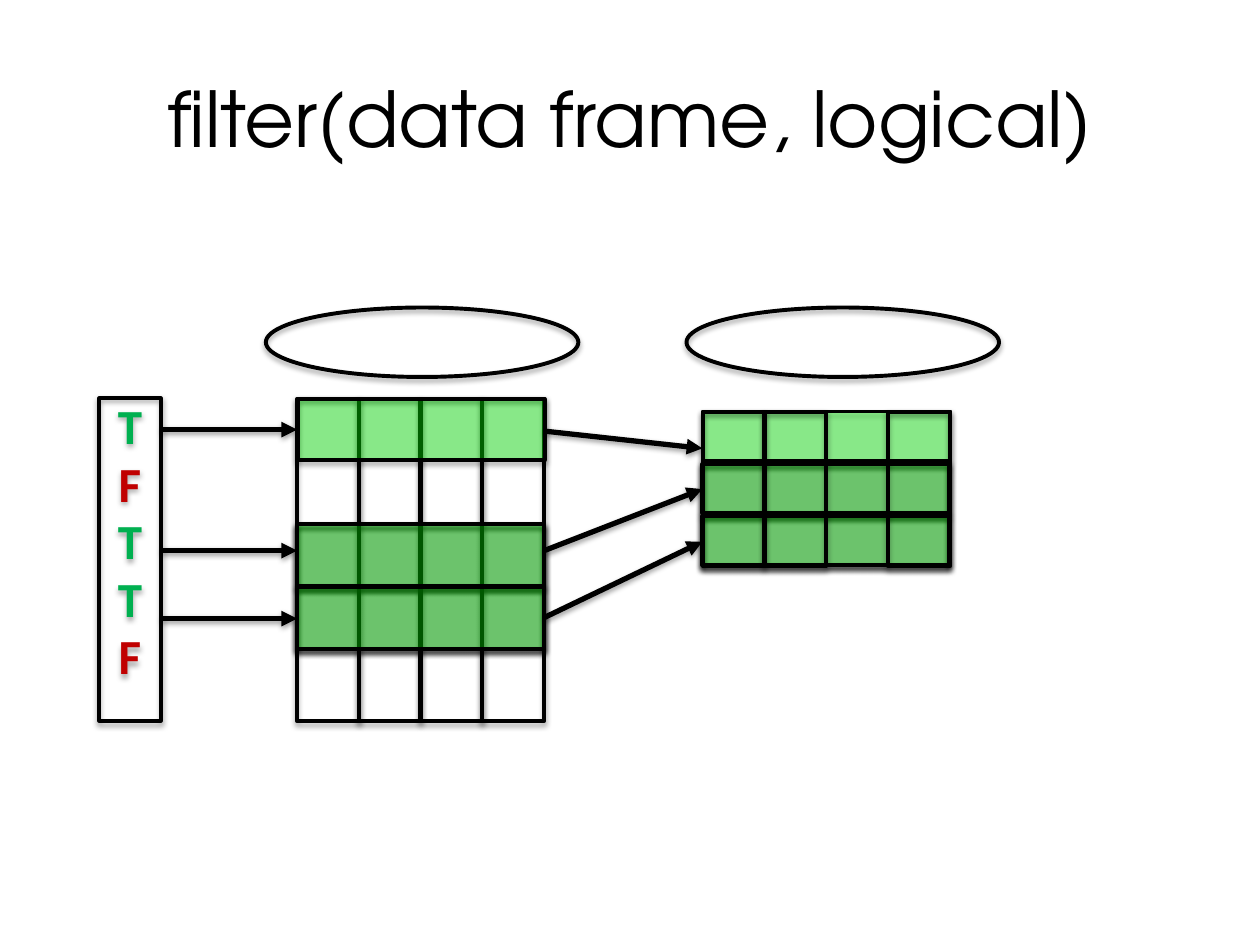
import pptx
import pptx.util
import pptx.dml.color
import pptx.enum.shapes
import pptx.enum.text
import pptx.oxml.ns
from dataclasses import dataclass
from lxml import etree
from pptx.util import Cm

SHAPE = pptx.enum.shapes.MSO_SHAPE
ANCHOR = pptx.enum.text.MSO_ANCHOR
ALIGN = pptx.enum.text.PP_ALIGN
qn = pptx.oxml.ns.qn


@dataclass(frozen=True)
class Theme:
    black: str = "000000"
    band: str = "00FA00"
    true: str = "00B050"
    false: str = "C00000"
    title_font: str = "TeX Gyre Adventor"
    flag_font: str = "Calibri"
    title_size: int = 44
    flag_size: int = 28
    outline: float = 2.25
    arrow: float = 3


THEME = Theme()
CELL = 1.24
PITCH = 1.245


def rgb(value):
    return pptx.dml.color.RGBColor.from_string(value)


def apply(target, values):
    for name, value in values.items():
        setattr(target, name, value)


def stroke(line, width):
    line.color.rgb = rgb(THEME.black)
    line.width = pptx.util.Pt(width)


def add_shadow(effects, alpha, distance):
    shadow = etree.SubElement(effects, qn("a:outerShdw"), {
        "blurRad": "40000", "dist": str(distance), "dir": "5400000", "rotWithShape": "0"})
    color = etree.SubElement(shadow, qn("a:srgbClr"), val=THEME.black)
    etree.SubElement(color, qn("a:alpha"), val=str(alpha * 1000))


def add_outline(s, kind, left, top, width, height):
    sp = s.shapes.add_shape(kind, Cm(left), Cm(top), Cm(width), Cm(height))
    sp.fill.background()
    stroke(sp.line, THEME.outline)
    sp.shadow.inherit = False
    add_shadow(sp._element.spPr.find(qn("a:effectLst")), 35, 23000)
    return sp


def add_columns(s, left, top, height, indexes):
    for i in indexes:
        add_outline(s, SHAPE.RECTANGLE, left + i * PITCH, top, CELL, height)


def add_band(s, center_x, center_y, thickness, opacity):
    length = 4.98
    sp = add_outline(s, SHAPE.RECTANGLE, center_x - thickness / 2,
                     center_y - length / 2, thickness, length)
    sp.rotation = 270
    sp.fill.solid()
    sp.fill.fore_color.rgb = rgb(THEME.band)
    color = sp._element.spPr.find(qn("a:solidFill")).find(qn("a:srgbClr"))
    etree.SubElement(color, qn("a:alpha"), val=str(opacity * 1000))


def add_arrow(s, x1, y1, x2, y2):
    arrow = s.shapes.add_connector(pptx.enum.shapes.MSO_CONNECTOR.STRAIGHT,
                                   Cm(x1), Cm(y1), Cm(x2), Cm(y2))
    stroke(arrow.line, THEME.arrow)
    spPr = arrow._element.spPr
    etree.SubElement(spPr.find(qn("a:ln")), qn("a:tailEnd"), type="triangle")
    add_shadow(etree.SubElement(spPr, qn("a:effectLst")), 38, 20000)


def add_run(p, text, color, font):
    p.alignment = ALIGN.CENTER
    r = p.add_run()
    r.text = text
    r.font.color.rgb = rgb(color)
    apply(r.font, font)


def add_title(s, text):
    sp = s.shapes.add_textbox(Cm(1.27), Cm(0.76), Cm(22.86), Cm(3.18))
    tf = sp.text_frame
    apply(tf, {"word_wrap": True, "vertical_anchor": ANCHOR.MIDDLE})
    add_run(tf.paragraphs[0], text, THEME.black,
            {"name": THEME.title_font, "size": pptx.util.Pt(THEME.title_size)})


def add_flags(s, flags):
    tf = add_outline(s, SHAPE.RECTANGLE, 2, 8.03, CELL, 6.5).text_frame
    apply(tf, {"word_wrap": True, "vertical_anchor": ANCHOR.TOP, "margin_top": 0})
    colors = {"T": THEME.true, "F": THEME.false}
    font = {"name": THEME.flag_font, "size": pptx.util.Pt(THEME.flag_size), "bold": True}
    for i, flag in enumerate(flags):
        p = tf.add_paragraph() if i else tf.paragraphs[0]
        p.line_spacing = 0.98
        add_run(p, flag, colors[flag], font)


def main():
    prs = pptx.Presentation()
    apply(prs, {"slide_width": Cm(25.4), "slide_height": Cm(19.05)})
    s = prs.slides.add_slide(prs.slide_layouts[6])

    add_title(s, "filter(data frame, logical)")
    add_outline(s, SHAPE.OVAL, 5.36, 6.2, 6.3, 1.4)
    add_flags(s, "TFTTF")
    add_columns(s, 5.99, 8.04, 6.5, range(4))
    for x, y, opacity in [(8.49, 8.66, 38), (8.47, 11.19, 35), (8.47, 12.46, 35)]:
        add_band(s, x, y, CELL, opacity)
    for y in (8.66, 11.1, 12.47):
        add_arrow(s, 3.25, y, 5.99, y)

    add_outline(s, SHAPE.OVAL, 13.84, 6.2, 6.3, 1.4)
    for x, y, opacity in [(16.67, 8.79, 38), (16.65, 9.85, 35), (16.65, 10.9, 35)]:
        add_band(s, x, y, 0.99, opacity)
    for y1, y2 in [(8.69, 9.04), (11.1, 9.86), (12.45, 10.92)]:
        add_arrow(s, 10.97, y1, 14.16, y2)
    add_columns(s, 14.17, 8.3, 3.12, (0, 3, 1))

    prs.save("out.pptx")


main()
